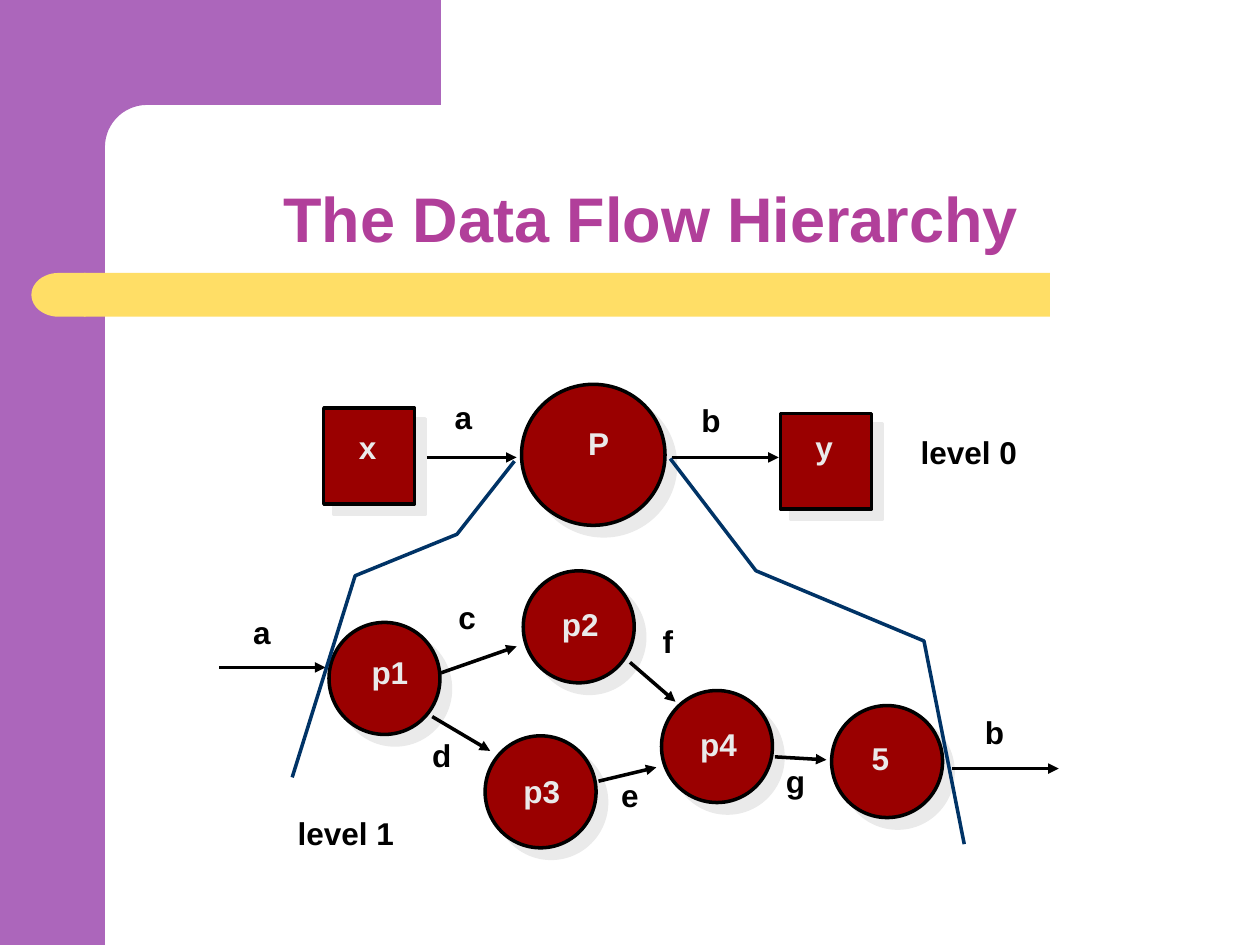
import math
import pptx
import pptx.util
import pptx.dml.color
import pptx.enum.shapes
import pptx.enum.text
import pptx.oxml
import pptx.oxml.ns
from lxml import etree

Pt = pptx.util.Pt
SHAPE = pptx.enum.shapes.MSO_SHAPE
FONT = "Arial"
COLORS = {"purple": "AC66BB", "yellow": "FFDE66", "title": "B13F9A", "node": "9A0000",
          "pale": "EAEAEA", "black": "000000", "navy": "003366"}

# Content: left, top, width, height in points
TITLE = "The Data Flow Hierarchy"
BIG_PROCESS = (298, 219.6, 82, 80.6)
ENTITIES = [(185, 233.3), (446, 236.2)]
ENTITY_SIZE = (52, 54.7)
PROCESSES = [(188, 355.7), (299, 326.2), (277.2, 420.5), (378, 394.6), (475.2, 403.2)]
PROCESS_SIZE = (63.4, 64)
ARROWS = [  # x1, y1, x2, y2
    (244, 261.4, 295.2, 261.4), (383.8, 261.4, 445, 261.4),
    (125.3, 381.4, 186, 381.4), (544.3, 439.2, 605, 439.2),
    (252, 384.5, 295.2, 369.4), (247, 409.5, 280.1, 429.1),
    (342, 446.4, 375.1, 438.5), (360, 378.5, 386, 401),
    (442.8, 432.5, 472.3, 434.2)]
BOUNDARIES = [
    [(294, 263.5), (261.2, 305.3), (203, 329), (167, 444.2)],
    [(383, 262.1), (432, 326.2), (528, 366.3), (551, 482.4)]]
LABELS = {  # colour: (text, left, top, width)
    "pale": [("P", 329, 239, 30.2), ("x", 198, 241.2, 27.4), ("y", 458.8, 241.2, 27.4),
             ("p1", 205.2, 369.4, 35.3), ("p2", 314, 342, 35.3), ("p3", 292, 437.8, 35.3),
             ("p4", 393, 411, 35.3), ("5", 491, 419, 24.5)],
    "black": [("a", 252.7, 224, 27.4), ("b", 393.8, 225.4, 28.8), ("a", 137.5, 347, 27.4),
              ("b", 555.8, 404, 28.8), ("c", 254.9, 338, 27.4), ("d", 239.8, 417, 28.8),
              ("e", 347.8, 440, 27.4), ("f", 371.5, 352, 22.3), ("g", 442, 432, 28.8),
              ("level 0", 519, 244, 87.8), ("level 1", 163, 461.5, 87.8)]}
LABEL_HEIGHT = 29

prs = pptx.Presentation()
prs.slide_width, prs.slide_height = Pt(720), Pt(540)
s = prs.slides.add_slide(prs.slide_layouts[5])


def rgb(name):
    return pptx.dml.color.RGBColor.from_string(COLORS[name])


def add_block(kind, box, color):
    sp = s.shapes.add_shape(kind, *map(Pt, box))
    sp.shadow.inherit = False
    sp.fill.solid()
    sp.fill.fore_color.rgb = rgb(color)
    sp.line.fill.background()
    return sp


def add_path(points, close):
    pts = [(Pt(x), Pt(y)) for x, y in points]
    fb = s.shapes.build_freeform(*pts[0], scale=1.0)
    fb.add_line_segments(pts[1:], close=close)
    sp = fb.convert_to_shape()
    sp.shadow.inherit = False
    return sp


def set_line(shape, color):
    shape.line.color.rgb = rgb(color)
    shape.line.width = Pt(2)


def add_node(kind, box):
    sp = add_block(kind, box, "node")
    set_line(sp, "black")
    effects = sp._element.spPr.find(pptx.oxml.ns.qn("a:effectLst"))
    effects.append(pptx.oxml.parse_xml(
        f'<a:outerShdw {pptx.oxml.ns.nsdecls("a")} dist="{Pt(8.5)}" dir="2700000" '
        f'algn="ctr" rotWithShape="0"><a:srgbClr val="{COLORS["pale"]}"/></a:outerShdw>'))


def add_arrow(x1, y1, x2, y2):
    c = s.shapes.add_connector(pptx.enum.shapes.MSO_CONNECTOR.STRAIGHT,
                               *map(Pt, (x1, y1, x2, y2)))
    set_line(c, "black")
    etree.SubElement(c.line._get_or_add_ln(), pptx.oxml.ns.qn("a:tailEnd"), type="triangle")
    etree.SubElement(c._element.spPr, pptx.oxml.ns.qn("a:effectLst"))


def add_label(text, left, top, width, color):
    tf = s.shapes.add_textbox(*map(Pt, (left, top, width, LABEL_HEIGHT))).text_frame
    tf.word_wrap = False
    p = tf.paragraphs[0]
    p.text = text
    set_font(p, 18, color)


def set_font(p, size, color):
    p.font.name, p.font.size, p.font.bold = FONT, Pt(size), True
    p.font.color.rgb = rgb(color)


# Purple frame with a rounded inner corner
add_block(SHAPE.RECTANGLE, (0, 0, 60, 540), "purple")
EDGE, RADIUS = 60, 24
arc = [(EDGE + RADIUS * (1 - math.sin(math.radians(a))),
        EDGE + RADIUS * (1 - math.cos(math.radians(a)))) for a in range(0, 91, 6)]
corner = add_path([(36, 0), (252, 0), (252, EDGE), *arc, (EDGE, 92), (36, 92)], True)
corner.fill.solid()
corner.fill.fore_color.rgb = rgb("purple")
corner.line.fill.background()

# Yellow bar with a round left end
add_block(SHAPE.RECTANGLE, (48, 156, 552, 25), "yellow")
cap = add_block(SHAPE.FLOWCHART_DELAY, (18, 156, 31, 25), "yellow")
cap._element.spPr.get_or_add_xfrm().set("flipH", "1")

# Title
title = s.shapes.title
title.left, title.top, title.width, title.height = map(Pt, (60, 60, 624, 90))
title.text_frame.text = TITLE
title.text_frame.vertical_anchor = pptx.enum.text.MSO_ANCHOR.BOTTOM
p = title.text_frame.paragraphs[0]
p.alignment = pptx.enum.text.PP_ALIGN.CENTER
p.line_spacing = 0.9
set_font(p, 36, "title")

# Processes and outside entities
add_node(SHAPE.OVAL, BIG_PROCESS)
for place in ENTITIES:
    add_node(SHAPE.RECTANGLE, place + ENTITY_SIZE)
for place in PROCESSES:
    add_node(SHAPE.OVAL, place + PROCESS_SIZE)

# Flows, level boundaries and labels
for ends in ARROWS:
    add_arrow(*ends)
for points in BOUNDARIES:
    boundary = add_path(points, False)
    boundary.fill.background()
    set_line(boundary, "navy")
for color, labels in LABELS.items():
    for label in labels:
        add_label(*label, color)

prs.save("out.pptx")
